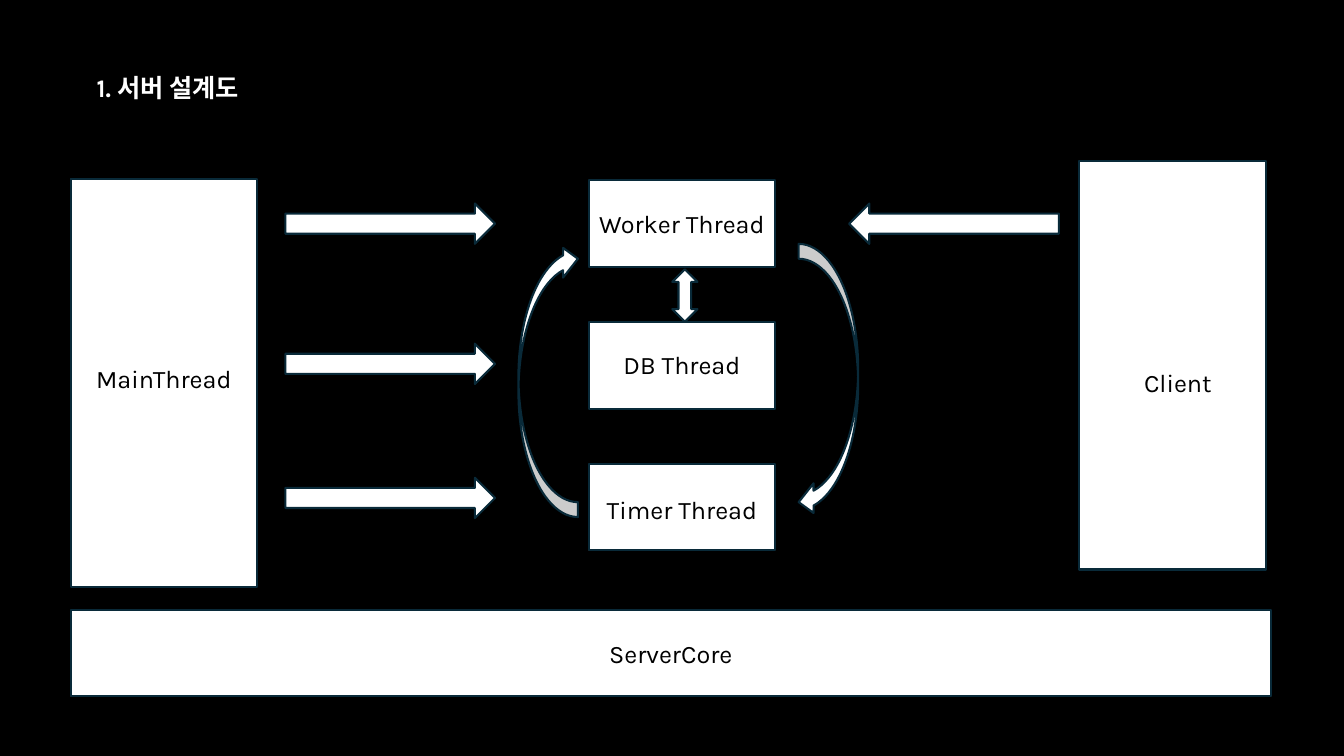
from pptx import Presentation
from pptx.dml.color import RGBColor
from pptx.enum.shapes import MSO_SHAPE
from pptx.enum.text import MSO_AUTO_SIZE, PP_ALIGN
from pptx.util import Pt

# Content
TITLE = "1. 서버 설계도"
THREADS = ["Worker Thread", "DB Thread", "Timer Thread"]
FONT, SIZE = "Karla", 18
BLACK, WHITE, EDGE = "000000", "FFFFFF", "092A39"

# Layout, in points
LEFT = 50.4
BOX_W, BOX_H, TALL_H = 133.2, 61.9, 291.6
THREAD_X, THREAD_Y, THREAD_STEP = 420.5, 128.9, 101.2
THREAD_LABEL_Y = [145.4, 246.2, 349.2]
LABEL_H = 29.1
ARROW_X, ARROW_W, ARROW_H = 203.8, 149.8, 28.8
ARROW_Y = [145.4, 245.5, 341.3]
CURVE_Y, CURVE_W, CURVE_H = 174.2, 42.5, 195.1


def color(value):
    return RGBColor.from_string(value)


def add_shape(kind, x, y, w, h, rotation=0):
    sp = s.shapes.add_shape(kind, Pt(x), Pt(y), Pt(w), Pt(h))
    sp.rotation = rotation
    sp.shadow.inherit = False
    sp.fill.solid()
    sp.fill.fore_color.rgb = color(WHITE)
    sp.line.color.rgb = color(EDGE)
    sp.line.width = Pt(1.5)


def add_label(text, x, y, w, ink=BLACK, bold=False, align=PP_ALIGN.CENTER):
    tf = s.shapes.add_textbox(Pt(x), Pt(y), Pt(w), Pt(LABEL_H)).text_frame
    tf.word_wrap = True
    tf.auto_size = MSO_AUTO_SIZE.SHAPE_TO_FIT_TEXT
    p = tf.paragraphs[0]
    p.text = text
    p.alignment = align
    font = p.runs[0].font
    font.name, font.size, font.bold = FONT, Pt(SIZE), bold
    font.color.rgb = color(ink)


def add_box(text, x, y, w, h, label_x, label_y):
    add_shape(MSO_SHAPE.RECTANGLE, x, y, w, h)
    add_label(text, label_x, label_y, w)


prs = Presentation()
prs.slide_width, prs.slide_height = Pt(960), Pt(540)
s = prs.slides.add_slide(prs.slide_layouts[6])
s.background.fill.solid()
s.background.fill.fore_color.rgb = color(BLACK)

# Title
add_label(TITLE, 61.9, 48.2, 341.3, WHITE, True, PP_ALIGN.LEFT)

# Server core and the two tall boxes
add_box("ServerCore", LEFT, 435.6, 857.5, BOX_H, LEFT, 452.2)
add_box("MainThread", LEFT, 127.6, BOX_W, TALL_H, LEFT, 255.6)
add_box("Client", 771, 115.2, BOX_W, TALL_H, 774.7, 258.5)

# Threads, each with an arrow from the main thread
for i, (name, label_y, arrow_y) in enumerate(zip(THREADS, THREAD_LABEL_Y, ARROW_Y)):
    add_box(name, THREAD_X, THREAD_Y + i * THREAD_STEP, BOX_W, BOX_H, THREAD_X, label_y)
    add_shape(MSO_SHAPE.RIGHT_ARROW, ARROW_X, arrow_y, ARROW_W, ARROW_H)

# Arrow from the client, and arrows between threads
add_shape(MSO_SHAPE.RIGHT_ARROW, 606.5, ARROW_Y[0], ARROW_W, ARROW_H, 180)
add_shape(MSO_SHAPE.UP_DOWN_ARROW, 480.2, 192.4, 18, 37.4)
for x, rotation in [(570.5, 0), (370.3, 180)]:
    add_shape(MSO_SHAPE.CURVED_LEFT_ARROW, x, CURVE_Y, CURVE_W, CURVE_H, rotation)

prs.save("out.pptx")
